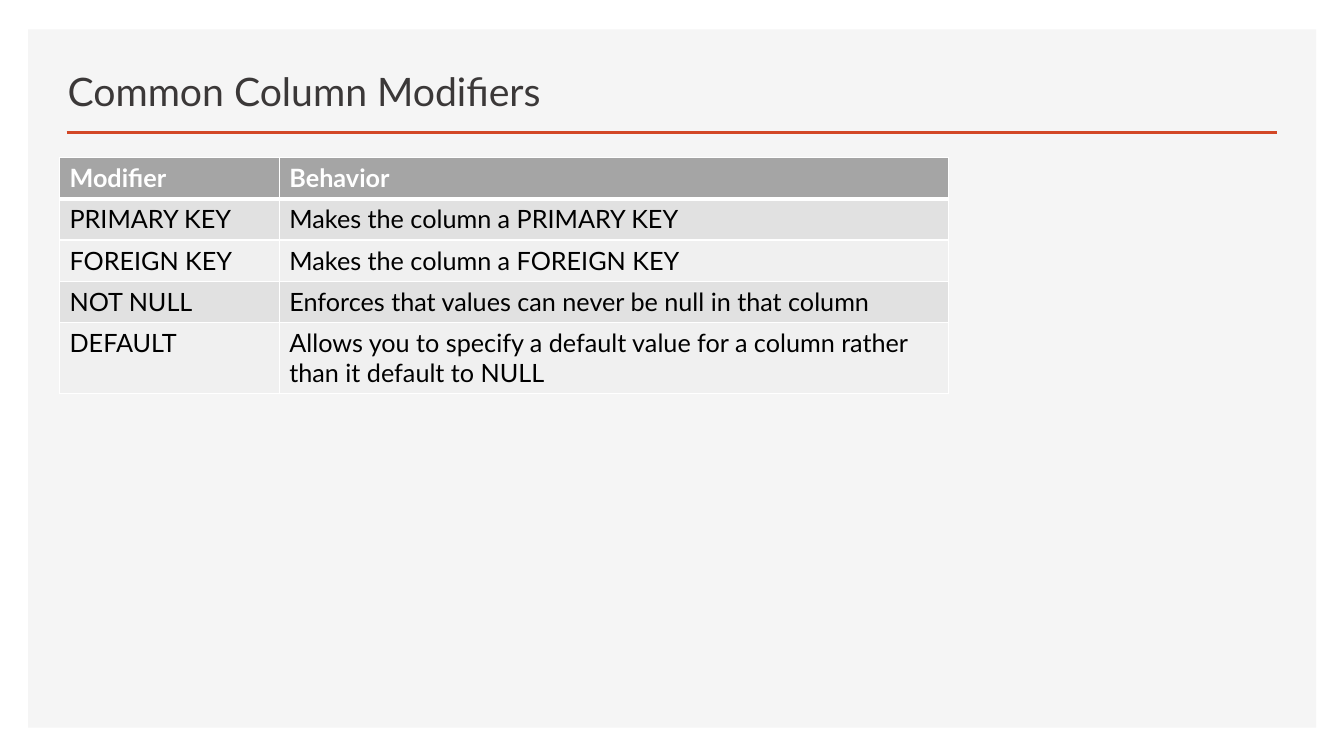
from lxml.etree import SubElement
from pptx import Presentation
from pptx.dml.color import RGBColor
from pptx.enum.shapes import MSO_CONNECTOR, MSO_SHAPE
from pptx.enum.text import MSO_ANCHOR, MSO_AUTO_SIZE, PP_ALIGN
from pptx.oxml import parse_xml
from pptx.oxml.ns import nsdecls, qn
from pptx.util import Cm, Pt

ROWS = [
    ("Modifier", "Behavior"),
    ("PRIMARY KEY", "Makes the column a PRIMARY KEY"),
    ("FOREIGN KEY", "Makes the column a FOREIGN KEY"),
    ("NOT NULL", "Enforces that values can never be null in that column"),
    ("DEFAULT", "Allows you to specify a default value for a column "
                "rather than it default to NULL"),
]


def color(value):
    return RGBColor.from_string(value)


def write(frame, text, size=18, ink="000000", bold=False):
    para = frame.paragraphs[0]
    para.alignment = PP_ALIGN.LEFT
    run = para.add_run()
    run.text = text
    run.font.name = "Lato"
    run.font.size = Pt(size)
    run.font.bold = bold
    run.font.color.rgb = color(ink)


def edge(cell, **widths):
    """Draw white cell borders; widths in points, keyed L, R, T, B."""
    props = cell._tc.get_or_add_tcPr()
    for place, side in enumerate("LRTB"):
        props.insert(place, parse_xml(
            f'<a:ln{side} {nsdecls("a")} w="{Pt(widths.get(side, 1))}">'
            '<a:solidFill><a:srgbClr val="FFFFFF"/></a:solidFill>'
            f'</a:ln{side}>'))


def panel(slide, left, top, width, height):
    # Grey backdrop
    back = slide.shapes.add_shape(
        MSO_SHAPE.RECTANGLE, Cm(left), Cm(top), Cm(width), Cm(height))
    back.shadow.inherit = False
    back.fill.solid()
    back.fill.fore_color.rgb = color("F5F5F5")
    back.line.fill.background()


def header(slide, left, top, width, height):
    # Title, raised above the backdrop
    title = slide.shapes.title
    slide.shapes._spTree.append(title._element)
    title.left, title.top = Cm(left), Cm(top)
    title.width, title.height = Cm(17), Cm(height - 0.31)
    frame = title.text_frame
    frame.word_wrap = True
    frame.auto_size = MSO_AUTO_SIZE.NONE
    frame.vertical_anchor = MSO_ANCHOR.BOTTOM
    write(frame, "Common Column Modifiers", size=28, ink="3B3838")
    frame.paragraphs[0].line_spacing = 0.9

    # Rule along the bottom of the box
    base = Cm(top + height)
    rule = slide.shapes.add_connector(
        MSO_CONNECTOR.STRAIGHT, Cm(left + 0.23), base, Cm(left + width), base)
    rule.line.color.rgb = color("D24726")
    rule.line.width = Pt(2)
    SubElement(rule._element.spPr, qn("a:effectLst"))


def grid(slide, left, top, width, height):
    # Table of modifiers; the last row takes the height left over
    table = slide.shapes.add_table(
        len(ROWS), 2, Cm(left), Cm(top), Cm(width), Cm(height)).table
    first, step = 5.54, 1.04
    table.columns[0].width = Cm(first)
    table.columns[1].width = Cm(width - first)
    last = len(ROWS) - 1
    for r, texts in enumerate(ROWS):
        table.rows[r].height = Cm(height - last * step if r == last else step)
        head = r == 0
        shade = "A5A5A5" if head else ("F0F0F0", "E1E1E1")[r % 2]
        for c, text in enumerate(texts):
            cell = table.cell(r, c)
            cell.fill.solid()
            cell.fill.fore_color.rgb = color(shade)
            edge(cell, T=3 if r == 1 else 1, B=3 if head else 1)
            write(cell.text_frame, text, bold=head,
                  ink="FFFFFF" if head else "000000")


def main():
    deck = Presentation()
    deck.slide_width, deck.slide_height = Cm(33.87), Cm(19.05)
    slide = deck.slides.add_slide(deck.slide_layouts[5])
    panel(slide, 0.71, 0.74, 32.46, 17.6)
    header(slide, 1.45, 1.24, 30.73, 2.09)
    grid(slide, 1.5, 3.97, 22.41, 5.94)
    deck.save("out.pptx")


if __name__ == "__main__":
    main()
